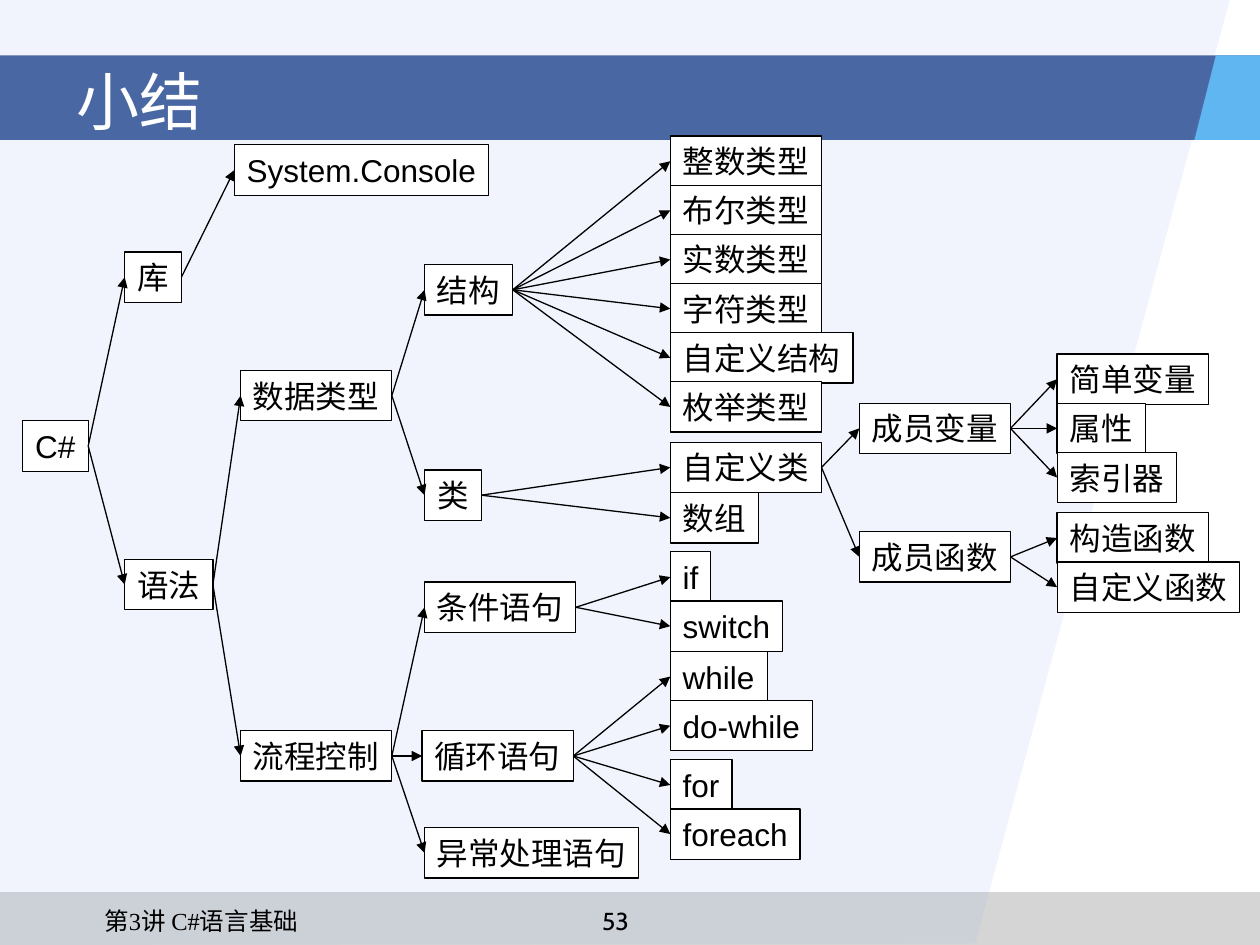
from dataclasses import dataclass
from typing import Optional

from lxml.etree import SubElement
from pptx import Presentation
from pptx.dml.color import RGBColor
from pptx.enum.shapes import MSO_CONNECTOR, MSO_SHAPE
from pptx.enum.text import MSO_ANCHOR, MSO_AUTO_SIZE, PP_ALIGN
from pptx.oxml.ns import qn
from pptx.util import Inches, Pt


@dataclass(frozen=True)
class Theme:
    black: str = "000000"
    white: str = "FFFFFF"
    footer: str = "969696"
    slope: str = "94B1EC"
    band: str = "173D89"
    accent: str = "5FB6F1"
    title_size: int = 36
    node_size: int = 18
    footer_size: int = 14
    title_font: str = "Cabin"
    node_font: str = "Arial"
    footer_font: str = "Times New Roman"
    line_width: float = 0.75


@dataclass(frozen=True)
class Node:
    text: str
    left: float
    top: float
    children: tuple["Node", ...] = ()
    width: Optional[float] = None


T = Theme()
NODE_HEIGHT = 0.4
CHAR_WIDTH = 0.25
ROW_STEP = 0.39
LEAF_LEFT = 5.32
MEMBER_LEFT = 8.39


def stack(left: float, top: float, *labels: str, **widths: float) -> tuple[Node, ...]:
    """Leaves one under the other; a label without a width is sized by its characters."""
    return tuple(Node(text, left, top + i * ROW_STEP, width=widths.get(text))
                 for i, text in enumerate(labels))


MEMBERS = (
    Node("成员变量", 6.82, 3.2, stack(MEMBER_LEFT, 2.81, "简单变量", "属性", "索引器")),
    Node("成员函数", 6.82, 4.22, stack(MEMBER_LEFT, 4.07, "构造函数", "自定义函数")),
)
DATA_TYPES = (
    Node("结构", 3.37, 2.1, stack(LEAF_LEFT, 1.08, "整数类型", "布尔类型", "实数类型",
                                "字符类型", "自定义结构", "枚举类型")),
    Node("类", 3.37, 3.73, (Node("自定义类", LEAF_LEFT, 3.51, MEMBERS),
                           Node("数组", LEAF_LEFT, 3.91))),
)
LOOPS = (stack(LEAF_LEFT, 5.17, "while", "do-while", **{"while": 0.77, "do-while": 1.13})
         + stack(LEAF_LEFT, 6.03, "for", "foreach", **{"for": 0.49, "foreach": 1.03}))
CONTROL_FLOW = (
    Node("条件语句", 3.37, 4.62,
         stack(LEAF_LEFT, 4.38, "if", "switch", **{"if": 0.32, "switch": 0.89})),
    Node("循环语句", 3.35, 5.8, LOOPS),
    Node("异常处理语句", 3.37, 6.57),
)
ROOT = Node("C#", 0.18, 3.34, (
    Node("库", 0.99, 2, (Node("System.Console", 1.86, 1.15, width=2.02),)),
    Node("语法", 0.99, 4.44, (Node("数据类型", 1.91, 2.94, DATA_TYPES),
                             Node("流程控制", 1.91, 5.8, CONTROL_FLOW))),
), width=0.52)


def set_fill(sp, color: str, opacity: int = 100) -> None:
    sp.shadow.inherit = False
    sp.fill.solid()
    sp.fill.fore_color.rgb = RGBColor.from_string(color)
    if opacity < 100:
        clr = sp.fill._xPr.find(qn("a:solidFill"))[0]
        SubElement(clr, qn("a:alpha")).set("val", str(opacity * 1000))


def set_line(line) -> None:
    line.color.rgb = RGBColor.from_string(T.black)
    line.width = Pt(T.line_width)


def write(sp, text: str, font: str, size: int, color: str = T.black,
          align=PP_ALIGN.LEFT, **frame) -> None:
    tf = sp.text_frame
    for name, value in frame.items():
        setattr(tf, name, value)
    p = tf.paragraphs[0]
    p.alignment = align
    r = p.add_run()
    r.text = text
    for name, value in {"name": font, "size": Pt(size)}.items():
        setattr(r.font, name, value)
    r.font.color.rgb = RGBColor.from_string(color)


def add_bar(s, top: float, height: float, color: str, opacity: int) -> None:
    sp = s.shapes.add_shape(MSO_SHAPE.RECTANGLE, 0, Inches(top), Inches(10), Inches(height))
    set_fill(sp, color, opacity)
    sp.line.fill.background()


def add_polygon(s, points: list[tuple[float, float]], color: str, opacity: int = 100) -> None:
    start, *rest = [(Inches(x), Inches(y)) for x, y in points]
    builder = s.shapes.build_freeform(*start)
    builder.add_line_segments(rest, close=True)
    sp = builder.convert_to_shape()
    set_fill(sp, color, opacity)
    sp.line.fill.background()


def add_label(s, box: tuple[float, ...], text: str, font: str, size: int, **style):
    sp = s.shapes.add_textbox(*map(Inches, box))
    write(sp, text, font, size, word_wrap=True, **style)
    return sp


def add_arrow(s, parent, child) -> None:
    """Joins the right side of the parent to the left side of the child."""
    cn = s.shapes.add_connector(MSO_CONNECTOR.STRAIGHT, 0, 0, 0, 0)
    cn.begin_connect(parent, 3)
    cn.end_connect(child, 1)
    set_line(cn.line)
    SubElement(cn.line._get_or_add_ln(), qn("a:tailEnd")).set("type", "triangle")
    SubElement(cn._element.spPr, qn("a:effectLst"))


def add_tree(s, node: Node):
    """Draws a node with everything below it and returns the node's box."""
    width = node.width or 0.2 + CHAR_WIDTH * len(node.text)
    sp = s.shapes.add_shape(MSO_SHAPE.RECTANGLE, Inches(node.left), Inches(node.top),
                            Inches(width), Inches(NODE_HEIGHT))
    set_fill(sp, T.white)
    set_line(sp.line)
    # No right inset: the label keeps to one line whatever the font's exact width.
    write(sp, node.text, T.node_font, T.node_size, word_wrap=True, margin_right=0,
          auto_size=MSO_AUTO_SIZE.NONE, vertical_anchor=MSO_ANCHOR.TOP)
    boxes = [add_tree(s, child) for child in node.children]
    for box in boxes:
        add_arrow(s, sp, box)
    return sp


def main() -> None:
    prs = Presentation()
    prs.slide_width, prs.slide_height = Inches(10), Inches(7.5)
    s = prs.slides.add_slide(prs.slide_layouts[6])

    add_bar(s, 7.08, 0.42, T.footer, 40)
    add_polygon(s, [(0, 0), (9.76, 0), (7.74, 7.49), (0, 7.5)], T.slope, 13)
    add_bar(s, 0.44, 0.67, T.band, 77)
    add_polygon(s, [(9.65, 0.44), (9.48, 1.11), (10, 1.11), (10, 0.44)], T.accent)

    add_label(s, (0.51, 0.36, 9, 0.87), "小结", T.title_font, T.title_size,
              color=T.white, vertical_anchor=MSO_ANCHOR.MIDDLE)
    add_tree(s, ROOT)
    chapter = add_label(s, (0.49, 7.14, 3.56, 0.24), "第3讲 C#语言基础",
                        T.footer_font, T.footer_size)
    chapter.text_frame.paragraphs[0]._p.get_or_add_pPr().set("marL", str(Inches(0.24)))
    add_label(s, (4.22, 7.14, 1.33, 0.25), "53", T.title_font, T.footer_size,
              align=PP_ALIGN.CENTER)

    prs.save("out.pptx")


if __name__ == "__main__":
    main()
